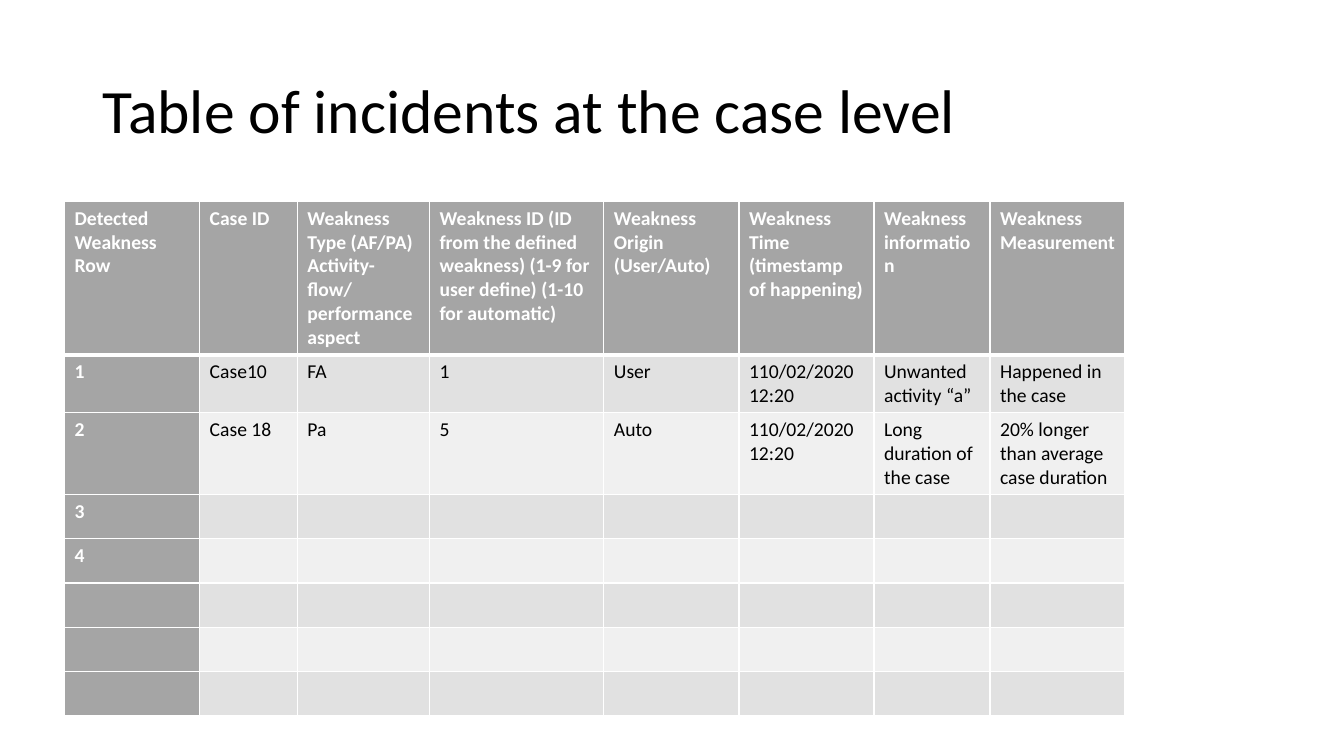
from typing import NamedTuple

from lxml.etree import SubElement
from pptx import Presentation
from pptx.dml.color import RGBColor
from pptx.enum.text import MSO_ANCHOR, PP_ALIGN
from pptx.oxml.ns import qn
from pptx.util import Inches, Pt

COLORS = {"white": "FFFFFF", "black": "000000", "head": "A5A5A5",
          "dark": "E1E1E1", "light": "F0F0F0"}
FONT = "Calibri"
WIDTHS = [1.34, 0.97, 1.31, 1.73, 1.34, 1.34, 1.15, 1.34]
HEIGHTS = [0.77] + [0.44] * 7
ROWS = [
    ["Detected Weakness Row", "Case ID",
     "Weakness Type (AF/PA)\nActivity-flow/performance aspect",
     "Weakness ID (ID from the defined weakness) (1-9 for user define) "
     "(1-10 for automatic)",
     "Weakness Origin (User/Auto)",
     "Weakness Time (timestamp of happening)",
     "Weakness information", "Weakness Measurement"],
    ["1", "Case10", "FA", "1", "User", "110/02/2020 12:20",
     "Unwanted activity “a”", "Happened in the case"],
    ["2", "Case 18", "Pa", "5", "Auto", "110/02/2020 12:20",
     "Long duration of the case", "20% longer than average case duration"],
    ["3"], ["4"], [], [], [],
]


class Look(NamedTuple):
    """Fill and text style of a cell."""
    fill: str
    color: str
    bold: bool


def rgb(name: str) -> RGBColor:
    """Give the named colour."""
    return RGBColor.from_string(COLORS[name])


def style(font, color: str, **values) -> None:
    """Set the typeface, colour and other values of a font."""
    for key, value in {"name": FONT, **values}.items():
        setattr(font, key, value)
    font.color.rgb = rgb(color)


def pick(row: int, col: int) -> Look:
    """Choose the look of a cell by its place."""
    if row == 0 or col == 0:
        return Look("head", "white", True)
    return Look("dark" if row % 2 else "light", "black", False)


def edge(cell, row: int) -> None:
    """Draw white cell borders, thick below the header row."""
    thick = {(0, "B"), (1, "T")}
    for side in "LRTB":
        width = Pt(3 if (row, side) in thick else 1)
        line = SubElement(cell._tc.get_or_add_tcPr(), qn(f"a:ln{side}"),
                          w=str(width))
        fill = SubElement(line, qn("a:solidFill"))
        SubElement(fill, qn("a:srgbClr"), val=COLORS["white"])


def paint(cell, row: int, col: int, text: str) -> None:
    """Write and format one cell."""
    look = pick(row, col)
    edge(cell, row)
    cell.fill.solid()
    cell.fill.fore_color.rgb = rgb(look.fill)
    if text:
        cell.text = text
        for para in cell.text_frame.paragraphs:
            style(para.runs[0].font, look.color, size=Pt(14), bold=look.bold)


def add_head(slide, text: str) -> None:
    """Place and format the slide title."""
    title = slide.shapes.title
    place = {"left": 0.92, "top": 0.4, "width": 11.5, "height": 1.45}
    for key, value in place.items():
        setattr(title, key, Inches(value))
    title.text = text
    title.text_frame.vertical_anchor = MSO_ANCHOR.MIDDLE
    para = title.text_frame.paragraphs[0]
    for key, value in {"alignment": PP_ALIGN.LEFT, "line_spacing": 0.9}.items():
        setattr(para, key, value)
    style(para.runs[0].font, "black", size=Pt(44))


def add_grid(slide) -> None:
    """Add the table of incidents."""
    table = slide.shapes.add_table(
        len(ROWS), len(WIDTHS), Inches(0.64), Inches(2),
        Inches(sum(WIDTHS)), Inches(sum(HEIGHTS))).table
    table.first_col = True
    for col, width in zip(table.columns, WIDTHS):
        col.width = Inches(width)
    for row, height in zip(table.rows, HEIGHTS):
        row.height = Inches(height)
    for i, words in enumerate(ROWS):
        for j in range(len(WIDTHS)):
            paint(table.cell(i, j), i, j, words[j] if j < len(words) else "")


def main() -> None:
    """Build and save the slide."""
    deck = Presentation()
    deck.slide_width, deck.slide_height = Inches(13.33), Inches(7.5)
    slide = deck.slides.add_slide(deck.slide_layouts[5])
    add_head(slide, "Table of incidents at the case level")
    add_grid(slide)
    deck.save("out.pptx")


main()
